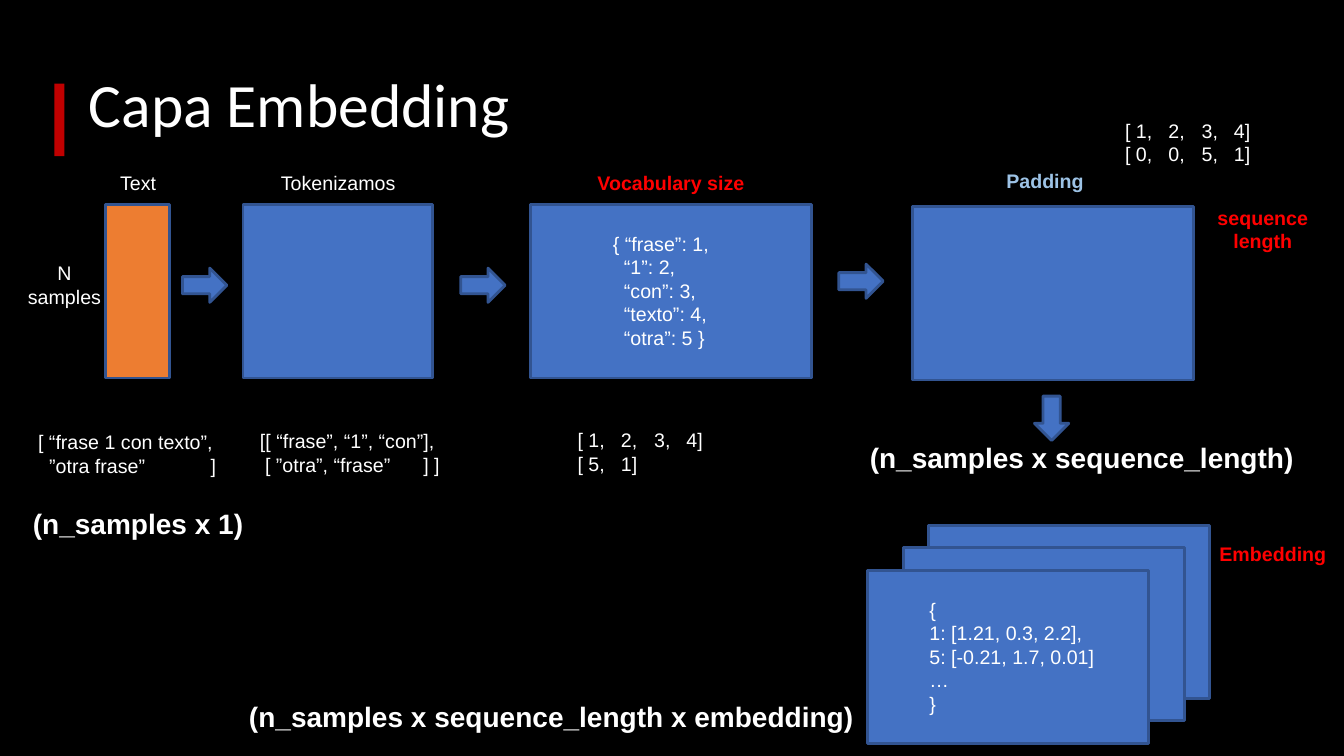
from pptx import Presentation
from pptx.dml.color import RGBColor
from pptx.enum.shapes import MSO_SHAPE
from pptx.enum.text import MSO_ANCHOR, PP_ALIGN
from pptx.oxml.ns import qn
from pptx.util import Inches, Pt
from lxml.etree import SubElement

WHITE, RED, BLUE, ORANGE = "FFFFFF", "FF0000", "4472C4", "ED7D31"
RECT, ARROW = MSO_SHAPE.RECTANGLE, MSO_SHAPE.RIGHT_ARROW


def hue(code):
    return RGBColor.from_string(code)


def write(frame, lines, size, color, bold=False, align=PP_ALIGN.LEFT, font="Arial", stops=()):
    frame.word_wrap = True
    for i, line in enumerate(lines):
        para = frame.paragraphs[0] if i == 0 else frame.add_paragraph()
        para.alignment = align
        if stops:
            tabs = SubElement(para._p.get_or_add_pPr(), qn("a:tabLst"))
            for stop in stops:
                SubElement(tabs, qn("a:tab"), pos=str(Inches(stop)), algn="l")
        run = para.add_run()
        run.text = line
        run.font.name = font
        run.font.size = Pt(size)
        run.font.bold = bold
        run.font.color.rgb = hue(color)


prs = Presentation()
prs.slide_width, prs.slide_height = Inches(13.33), Inches(7.5)
slide = prs.slides.add_slide(prs.slide_layouts[5])
slide.background.fill.solid()
slide.background.fill.fore_color.rgb = hue("000000")

title = slide.shapes.title
title.left, title.top = Inches(0.78), Inches(0.34)
title.width, title.height = Inches(11.5), Inches(1.45)
title.text_frame.vertical_anchor = MSO_ANCHOR.MIDDLE
write(title.text_frame, ["Capa Embedding"], 44, WHITE, font="Calibri")
title.text_frame.paragraphs[0].line_spacing = 0.9

bar = slide.shapes.add_shape(RECT, Inches(0.54), Inches(0.83), Inches(0.1), Inches(0.72))
bar.shadow.inherit = False
bar.fill.solid()
bar.fill.fore_color.rgb = hue("C00000")
bar.line.fill.background()

blocks = [
    (1.05, 2.03, 0.63, ORANGE),
    (2.41, 2.03, 1.88, BLUE),
    (5.26, 2.03, 2.79, BLUE),
    (9.05, 2.05, 2.79, BLUE),
    (9.21, 5.21, 2.79, BLUE),
    (8.96, 5.43, 2.79, BLUE),
    (8.6, 5.66, 2.79, BLUE),
]
arrows = [(1.81, 2.66, 0), (4.57, 2.66, 0), (8.32, 2.62, 0), (10.21, 3.98, 90)]
shapes = [(RECT, x, y, w, 1.72, fill, 0) for x, y, w, fill in blocks]
shapes += [(ARROW, x, y, 0.44, 0.34, BLUE, turn) for x, y, turn in arrows]
for kind, x, y, w, h, fill, turn in shapes:
    shape = slide.shapes.add_shape(kind, Inches(x), Inches(y), Inches(w), Inches(h))
    shape.shadow.inherit = False
    shape.rotation = turn
    shape.fill.solid()
    shape.fill.fore_color.rgb = hue(fill)
    shape.line.color.rgb = hue("325491")
    shape.line.width = Pt(2)

labels = [
    (0.07, 2.54, 1.14, 0.57, ["N", "samples"], 14, WHITE, False),
    (0.8, 1.65, 1.14, 0.34, ["Text"], 14, WHITE, False),
    (2.2, 1.65, 2.31, 0.34, ["Tokenizamos"], 14, WHITE, False),
    (5.5, 1.65, 2.31, 0.34, ["Vocabulary size"], 14, RED, True),
    (9.21, 1.63, 2.31, 0.34, ["Padding"], 14, "9DC3E6", True),
    (11.37, 1.99, 2.31, 0.57, ["sequence", "length"], 14, RED, True),
    (11.47, 5.33, 2.31, 0.34, ["Embedding"], 14, RED, True),
    (0.04, 4.98, 2.66, 0.44, ["(n_samples x 1)"], 20, WHITE, True),
    (8.12, 4.32, 5.22, 0.44, ["(n_samples x sequence_length)"], 20, WHITE, True),
    (2.1, 6.89, 6.74, 0.44, ["(n_samples x sequence_length x embedding)"], 20, WHITE, True),
]
for x, y, w, h, lines, size, color, bold in labels:
    box = slide.shapes.add_textbox(Inches(x), Inches(y), Inches(w), Inches(h))
    write(box.text_frame, lines, size, color, bold, PP_ALIGN.CENTER)

grid = (0.43, 0.76, 1.08)
first = "[ 1,\t2,\t3,\t4]"
codes = [
    (0.28, 4.22, 2.17, 0.57, ["[ “frase 1 con texto”,", "\t”otra frase”\t]"], (0.11, 1.71)),
    (2.48, 4.21, 2.02, 0.57, ["[[ “frase”, “1”, “con”],", "\t[ ”otra”, “frase”\t] ]"], (0.05, 1.62)),
    (5.63, 4.2, 1.88, 0.57, [first, "[ 5,\t1]"], grid),
    (11.06, 1.13, 1.88, 0.57, [first, "[ 0,\t0,\t5,\t1]"], grid),
    (5.98, 2.25, 1.88, 1.28,
     ["{ “frase”: 1,", "\t“1”: 2,", "\t“con”: 3,", "\t“texto”: 4,", "\t“otra”: 5 }"], (0.11,)),
    (9.12, 5.88, 1.88, 1.28,
     ["{", "1: [1.21, 0.3, 2.2],", "5: [-0.21, 1.7, 0.01]", "…", "}"], ()),
]
for x, y, w, h, lines, stops in codes:
    box = slide.shapes.add_textbox(Inches(x), Inches(y), Inches(w), Inches(h))
    write(box.text_frame, lines, 14, WHITE, stops=stops)

prs.save("out.pptx")
